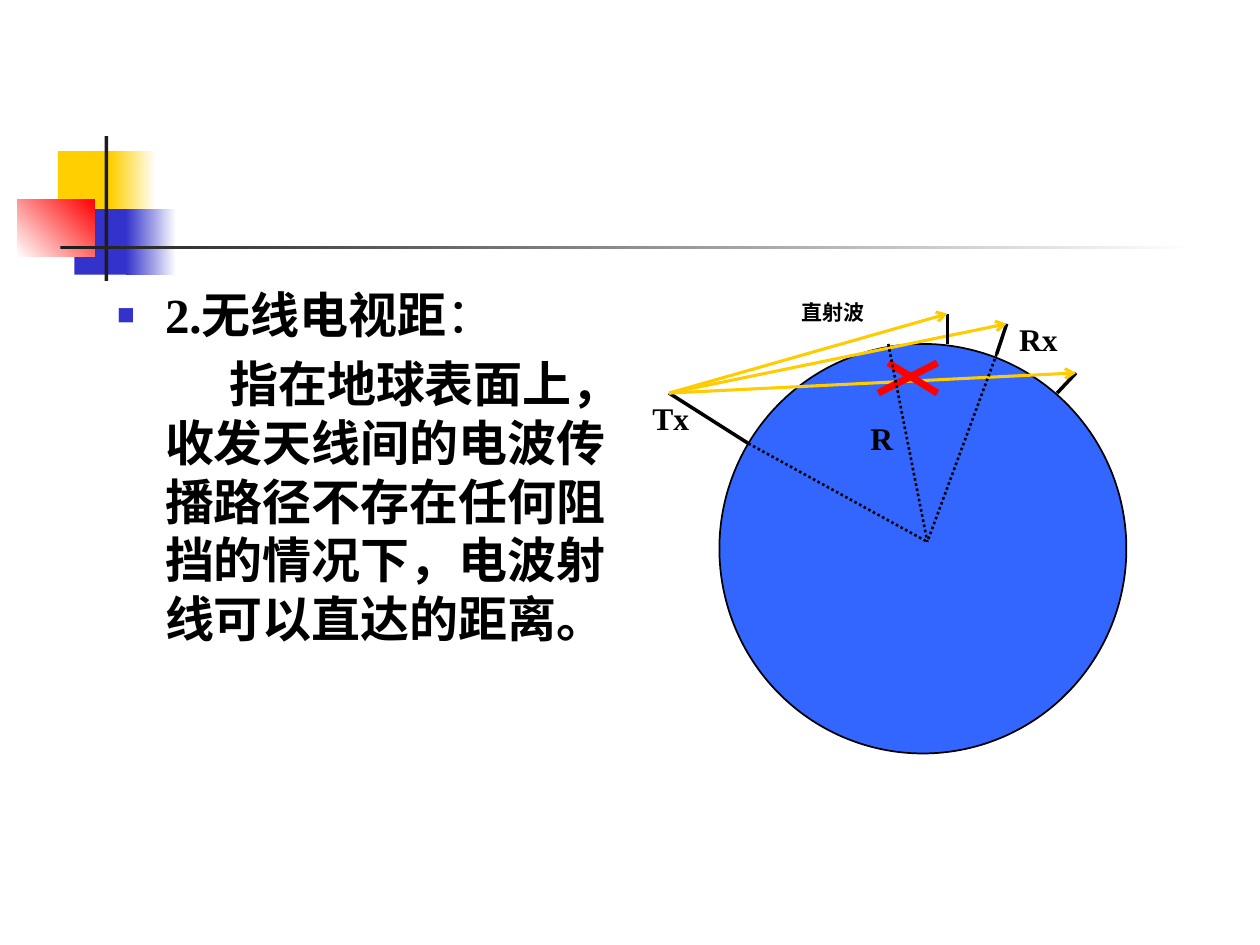
from pptx import Presentation
from pptx import util as u
from pptx.dml.color import RGBColor
from pptx.enum import dml, shapes, text
from pptx.oxml.ns import qn
from lxml import etree

COLORS = dict(black="000000", ink="1C1C1C", white="FFFFFF", gold="FFCF01", indigo="3333CC",
              red="FF0000", earth="3366FF", ray="FFCC00")
SERIF = "Times New Roman"

DECOR = [
    ((0.46, 1.2, 0.48, 0.52), ("gold",), 0),
    ((0.88, 1.2, 0.36, 0.52), ("gold", "white"), 0),
    ((0.59, 1.66, 0.46, 0.52), ("indigo",), 0),
    ((1, 1.66, 0.4, 0.52), ("indigo", "white"), 0),
    ((0.14, 1.58, 0.61, 0.46), ("white", "red"), 45),
    ((0.83, 1.08, 0.03, 1.15), ("ink",), 0),
    ((0.48, 1.95, 9, 0.03), ("ink", "white"), 0),
]
BODY = [
    ([("2.无线电视距", SERIF, True), ("：", "Lato", False)], -0.38, True),
    ([("指在地球表面上，收发天线间的电波传播路径不存在任何阻挡的情况下，电波射线可以直达的距离。",
       SERIF, True)], 0.51, False),
]
EARTH = (5.71, 2.73, 3.23, 3.25)
CENTER, TX, TX_BASE = (7.36, 4.3), (5.31, 3.12), (5.94, 3.52)
RECEIVERS = [((8.54, 2.96), (8.39, 3.12)), ((7.99, 2.57), (7.91, 2.81)), ((7.52, 2.49), (7.52, 2.73))]
RADII = [RECEIVERS[1][1], TX_BASE, (7.05, 2.73)]
CROSS = [((7.44, 2.88), (6.97, 3.12)), ((7.05, 2.88), (7.44, 3.12))]
LABELS = [
    ("Tx", (5.08, 3.12, 0.63, 0.4), 18, SERIF),
    ("Rx", (7.99, 2.49, 0.71, 0.4), 18, SERIF),
    ("直射波", (6.26, 2.33, 0.87, 0.3), 12, "Arial"),
    ("R", (6.81, 3.28, 0.47, 0.4), 18, SERIF),
]


def rgb(name):
    return RGBColor.from_string(COLORS[name])


def inches(values):
    return [u.Inches(v) for v in values]


def add_run(p, words, size, font, bold):
    r = p.add_run()
    r.text = words
    for key, value in dict(size=u.Pt(size), name=font, bold=bold).items():
        setattr(r.font, key, value)
    r.font.color.rgb = rgb("black")


def add_shape(slide, kind, box, fills, angle=0):
    sp = slide.shapes.add_shape(kind, *inches(box))
    sp.shadow.inherit = False
    sp.line.fill.background()
    if len(fills) == 1:
        sp.fill.solid()
        sp.fill.fore_color.rgb = rgb(fills[0])
    else:
        sp.fill.gradient()
        sp.fill.gradient_angle = angle
        for stop, name in zip(sp.fill.gradient_stops, fills):
            stop.color.rgb = rgb(name)
    return sp


def add_line(slide, start, end, color, width, arrow=False, dash=None):
    line = slide.shapes.add_connector(shapes.MSO_CONNECTOR.STRAIGHT, *inches(start + end))
    line.line.color.rgb = rgb(color)
    line.line.width = u.Pt(width)
    if dash:
        line.line.dash_style = dash
    if arrow:
        etree.SubElement(line.line._get_or_add_ln(), qn("a:tailEnd"), type="arrow")
    etree.SubElement(line._element.spPr, qn("a:effectLst"))


def add_body(slide):
    sp = slide.placeholders[1]
    for key, value in zip(("left", "top", "width", "height"), inches((0.83, 2.21, 4.25, 4.5))):
        setattr(sp, key, value)
    tf = sp.text_frame
    tf.auto_size = text.MSO_AUTO_SIZE.NONE
    for i, (runs, indent, bullet) in enumerate(BODY):
        p = tf.add_paragraph() if i else tf.paragraphs[0]
        p.space_before = u.Pt(5.6)
        pPr = p._p.get_or_add_pPr()
        pPr.set("marL", str(u.Inches(0.38)))
        pPr.set("indent", str(u.Inches(indent)))
        if bullet:
            clr = etree.SubElement(pPr, qn("a:buClr"))
            etree.SubElement(clr, qn("a:srgbClr"), val=COLORS["indigo"])
            etree.SubElement(pPr, qn("a:buSzPct"), val="60000")
            etree.SubElement(pPr, qn("a:buChar"), char="■")
        else:
            etree.SubElement(pPr, qn("a:buNone"))
        for words, font, bold in runs:
            add_run(p, words, 28, font, bold)


def add_label(slide, words, box, size, font):
    tf = slide.shapes.add_textbox(*inches(box)).text_frame
    tf.word_wrap = True
    tf.auto_size = text.MSO_AUTO_SIZE.SHAPE_TO_FIT_TEXT
    add_run(tf.paragraphs[0], words, size, font, True)


def main():
    """Build the radio line-of-sight slide."""
    prs = Presentation()
    prs.slide_width, prs.slide_height = inches((10, 7.5))
    slide = prs.slides.add_slide(prs.slide_layouts[1])
    title = slide.shapes.title._element
    title.getparent().remove(title)
    for box, fills, angle in DECOR:
        add_shape(slide, shapes.MSO_SHAPE.RECTANGLE, box, fills, angle)
    add_body(slide)
    earth = add_shape(slide, shapes.MSO_SHAPE.OVAL, EARTH, ("earth",))
    earth.line.color.rgb = rgb("black")
    earth.line.width = u.Pt(1)
    add_line(slide, TX_BASE, TX, "black", 2)
    for tip, base in RECEIVERS:
        add_line(slide, tip, base, "black", 2)
        add_line(slide, TX, tip, "ray", 1.75, arrow=True)
    for start, end in CROSS:
        add_line(slide, start, end, "red", 4)
    for point in RADII:
        add_line(slide, point, CENTER, "black", 1.5, dash=dml.MSO_LINE.ROUND_DOT)
    for label in LABELS:
        add_label(slide, *label)
    prs.save("out.pptx")


if __name__ == "__main__":
    main()
